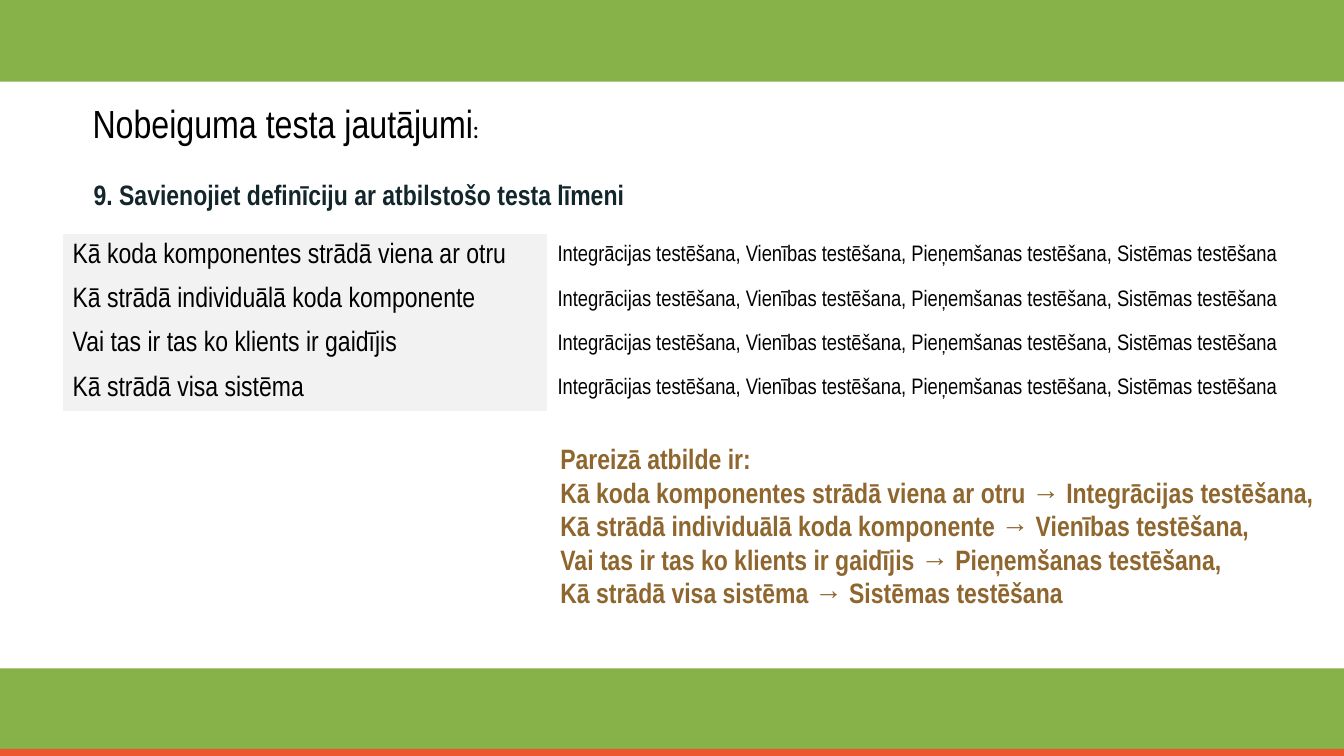
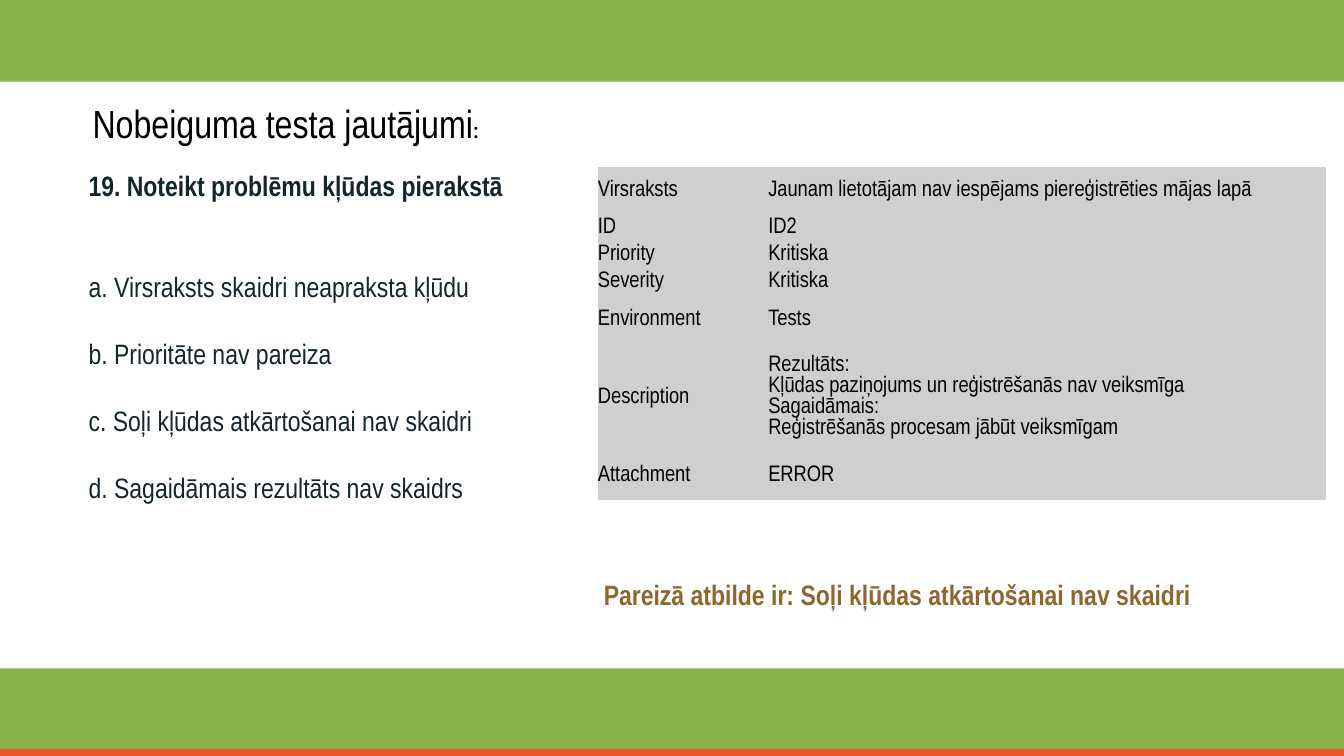
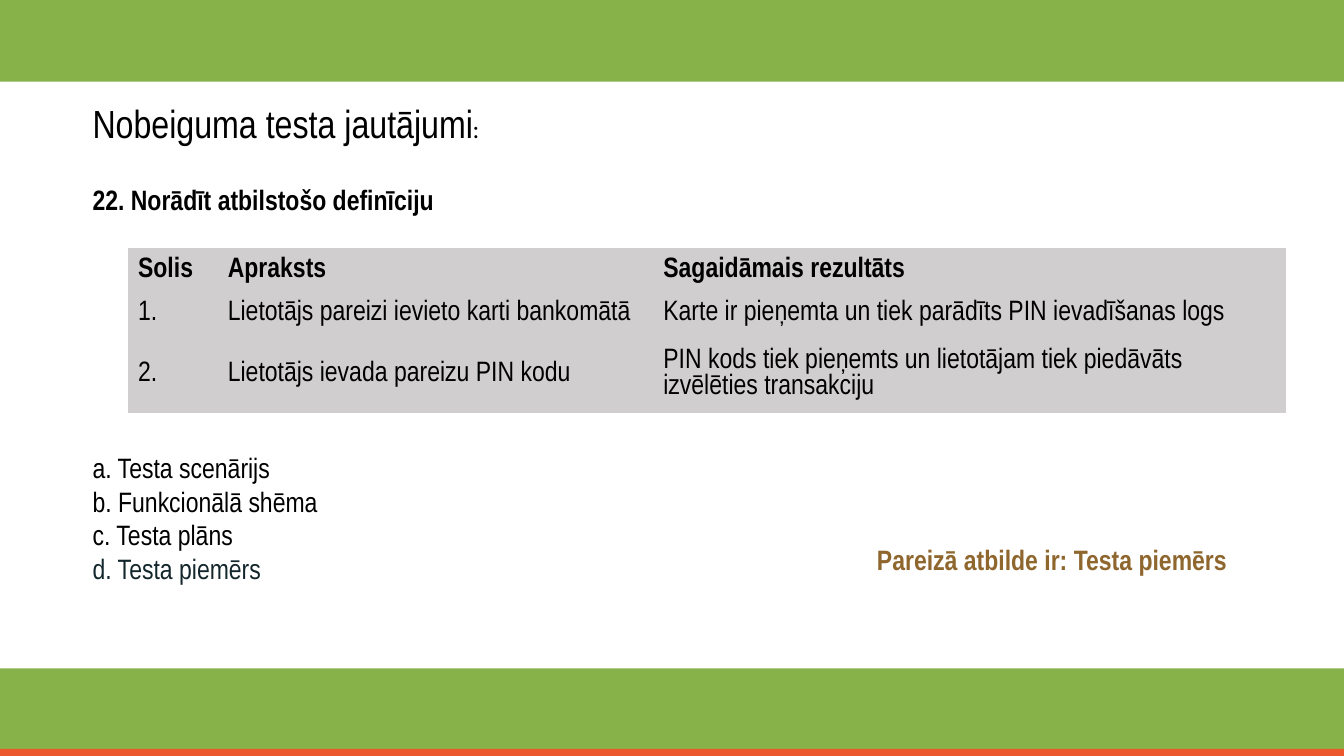
from dataclasses import dataclass

from pptx import Presentation
from pptx.dml.color import RGBColor as RGB
from pptx.enum.shapes import MSO_SHAPE as SHAPE
from pptx.enum.text import MSO_ANCHOR as ANCHOR
from pptx.oxml.ns import qn
from pptx.util import Inches, Pt


@dataclass(frozen=True)
class Theme:
    font: str = "Arial Narrow"
    colon_font: str = "Calibri"
    green: str = "87B24A"
    red: str = "EC572D"
    black: str = "000000"
    dark: str = "12262C"
    answer: str = "8E662E"
    light_gray: str = "F2F2F2"
    gray: str = "D0CECE"
    title: int = 28
    body: int = 20
    small: int = 16
    colon: int = 18
    plain_table: str = "{2D5ABB26-0587-4C30-8999-92F81FD0307C}"


T = Theme()
W, H = 13.33, 7.5
ANSWER = "Pareizā atbilde ir:"


def style(font, size=T.body, color=T.black, bold=False, name=T.font):
    font.name, font.size, font.bold = name, Pt(size), bold
    font.color.rgb = RGB.from_string(color)


def add_band(s, top, height, color):
    sp = s.shapes.add_shape(SHAPE.RECTANGLE, 0, Inches(top), Inches(W), Inches(height))
    sp.shadow.inherit = False
    sp.fill.solid()
    sp.fill.fore_color.rgb = RGB.from_string(color)
    sp.line.fill.background()


def add_text(s, box, lines, color=T.black, bold=False, gap=0):
    """Write one paragraph per line, with an equal gap in points between them."""
    tf = s.shapes.add_textbox(*map(Inches, box)).text_frame
    tf.word_wrap = True
    for i, line in enumerate(lines):
        p = tf.paragraphs[0] if i == 0 else tf.add_paragraph()
        p.text = line
        p.space_before = Pt(gap if i else 0)
        style(p.font, color=color, bold=bold)
    return tf


def add_table(s, left, top, cols, heights, rows, fills, sizes, header=False, margin=None):
    """Fills and sizes are given per column; a fill of None is clear."""
    frame = s.shapes.add_table(len(rows), len(cols), Inches(left), Inches(top),
                               Inches(sum(cols)), Inches(sum(heights)))
    table = frame.table
    table.first_row, table.horz_banding = header, False
    for style_id in frame.element.iter(qn("a:tableStyleId")):
        style_id.text = T.plain_table
    for col, width in zip(table.columns, cols):
        col.width = Inches(width)
    for row, height in zip(table.rows, heights):
        row.height = Inches(height)
    for r, texts in enumerate(rows):
        for c, text in enumerate(texts):
            cell = table.cell(r, c)
            cell.vertical_anchor = ANCHOR.MIDDLE
            if margin is not None:
                cell.margin_left = cell.margin_right = Inches(margin)
                cell.margin_top = cell.margin_bottom = Inches(margin)
            if fills[c]:
                cell.fill.solid()
                cell.fill.fore_color.rgb = RGB.from_string(fills[c])
            else:
                cell.fill.background()
            p = cell.text_frame.paragraphs[0]
            p.text = text
            style(p.font, sizes[c], bold=header and r == 0)


def add_question_slide(prs):
    """Blank slide with the shared bands and title."""
    s = prs.slides.add_slide(prs.slide_layouts[6])
    add_band(s, 0, 0.81, T.green)
    add_band(s, 6.63, 0.8, T.green)
    add_band(s, 7.43, H - 7.43, T.red)
    tf = s.shapes.add_textbox(*map(Inches, (0.82, 0.94, 4.23, 0.57))).text_frame
    tf.word_wrap = True
    p = tf.paragraphs[0]
    for text, size, name in (("Nobeiguma testa jautājumi", T.title, T.font),
                             (":", T.colon, T.colon_font)):
        r = p.add_run()
        r.text = text
        style(r.font, size, name=name)
    return s


def matching_slide(prs):
    s = add_question_slide(prs)
    add_text(s, (0.83, 1.71, 6, 0.44),
             ["9. Savienojiet definīciju ar atbilstošo testa līmeni"], T.dark, True)
    # Definitions beside the possible levels
    pairs = [
        ("Kā koda komponentes strādā viena ar otru", "Integrācijas testēšana"),
        ("Kā strādā individuālā koda komponente", "Vienības testēšana"),
        ("Vai tas ir tas ko klients ir gaidījis", "Pieņemšanas testēšana"),
        ("Kā strādā visa sistēma", "Sistēmas testēšana"),
    ]
    levels = ", ".join(level for _, level in pairs)
    add_table(s, 0.62, 2.32, (4.81, 7.9), [0.44] * len(pairs),
              [(definition, levels) for definition, _ in pairs],
              (T.light_gray, None), (T.body, T.small))
    # Answer
    matches = ",\n".join(" → ".join(pair) for pair in pairs).split("\n")
    add_text(s, (5.46, 4.33, 7.8, 1.78), [ANSWER, *matches], T.answer, True)


def bug_report_slide(prs):
    s = add_question_slide(prs)
    add_text(s, (0.78, 1.62, 5, 0.44), ["19. Noteikt problēmu kļūdas pierakstā"], T.dark, True)
    add_text(s, (0.78, 2.62, 5, 2.44), [
        "a. Virsraksts skaidri neapraksta kļūdu",
        "b. Prioritāte nav pareiza",
        "c. Soļi kļūdas atkārtošanai nav skaidri",
        "d. Sagaidāmais rezultāts nav skaidrs",
    ], T.dark, gap=24)
    # Bug report
    add_table(s, 5.93, 1.66, (1.69, 5.53), (0.46, 0.27, 0.27, 0.27, 0.48, 1.07, 0.48), [
        ("Virsraksts", "Jaunam lietotājam nav iespējams piereģistrēties mājas lapā"),
        ("ID", "ID2"),
        ("Priority", "Kritiska"),
        ("Severity", "Kritiska"),
        ("Environment", "Tests"),
        ("Description", "Rezultāts:\nKļūdas paziņojums un reģistrēšanās nav veiksmīga\n"
                        "Sagaidāmais:\nReģistrēšanās procesam jābūt veiksmīgam"),
        ("Attachment", "ERROR"),
    ], [T.gray] * 2, [T.small] * 2, margin=0)
    add_text(s, (5.89, 5.68, 6.4, 0.44),
             [f"{ANSWER} Soļi kļūdas atkārtošanai nav skaidri"], T.answer, True)


def definition_slide(prs):
    s = add_question_slide(prs)
    add_text(s, (0.82, 1.76, 5, 0.44), ["22. Norādīt atbilstošo definīciju"], bold=True)
    # Test steps
    add_table(s, 1.27, 2.46, (0.89, 4.32, 6.28), (0.43, 0.43, 0.77), [
        ("Solis", "Apraksts", "Sagaidāmais rezultāts"),
        ("1.", "Lietotājs pareizi ievieto karti bankomātā",
         "Karte ir pieņemta un tiek parādīts PIN ievadīšanas logs"),
        ("2.", "Lietotājs ievada pareizu PIN kodu",
         "PIN kods tiek pieņemts un lietotājam tiek piedāvāts izvēlēties transakciju"),
    ], [T.gray] * 3, [T.body] * 3, header=True)
    # Options and answer
    tf = add_text(s, (0.82, 4.42, 4.06, 1.43), [
        "a. Testa scenārijs", "b. Funkcionālā shēma", "c. Testa plāns", "d. Testa piemērs"])
    style(tf.paragraphs[-1].font, color=T.dark)
    add_text(s, (8.6, 5.33, 4, 0.44), [f"{ANSWER} Testa piemērs"], T.answer, True)


def main():
    prs = Presentation()
    prs.slide_width, prs.slide_height = Inches(W), Inches(H)
    for build in (matching_slide, bug_report_slide, definition_slide):
        build(prs)
    prs.save("out.pptx")


if __name__ == "__main__":
    main()
